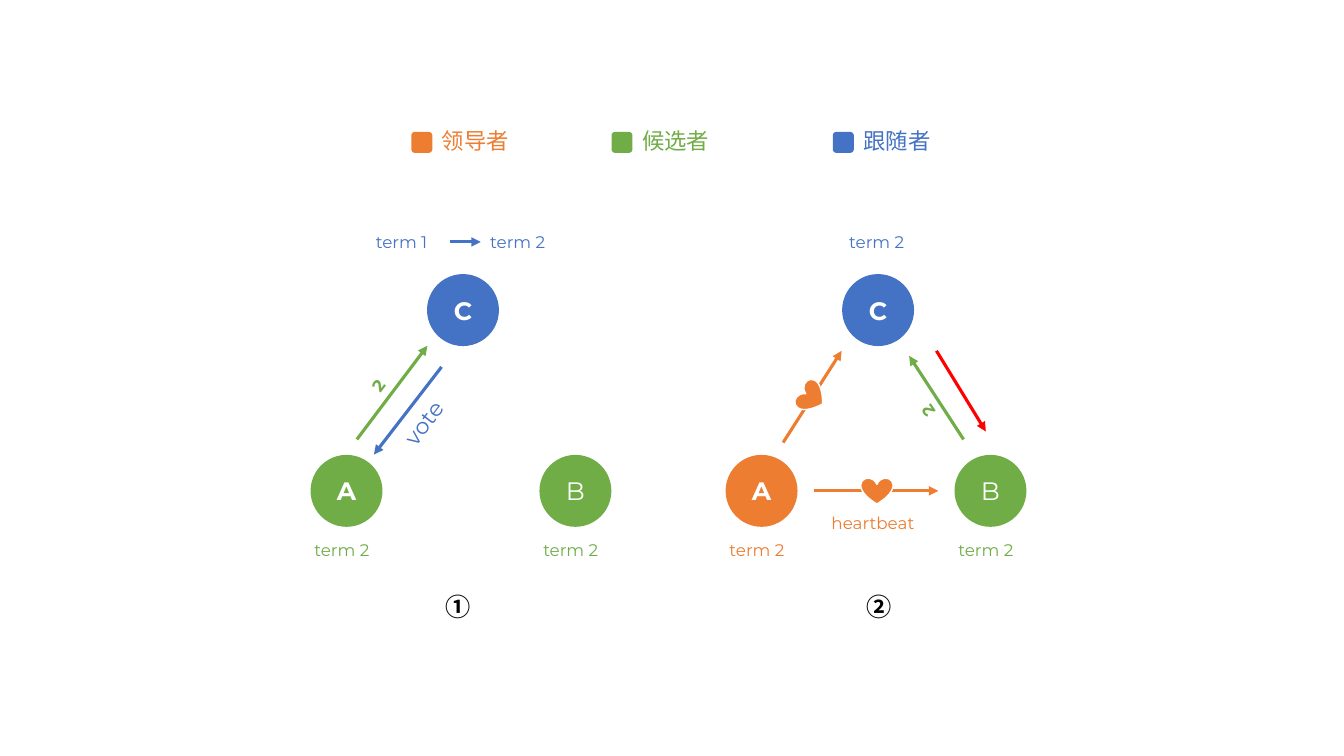
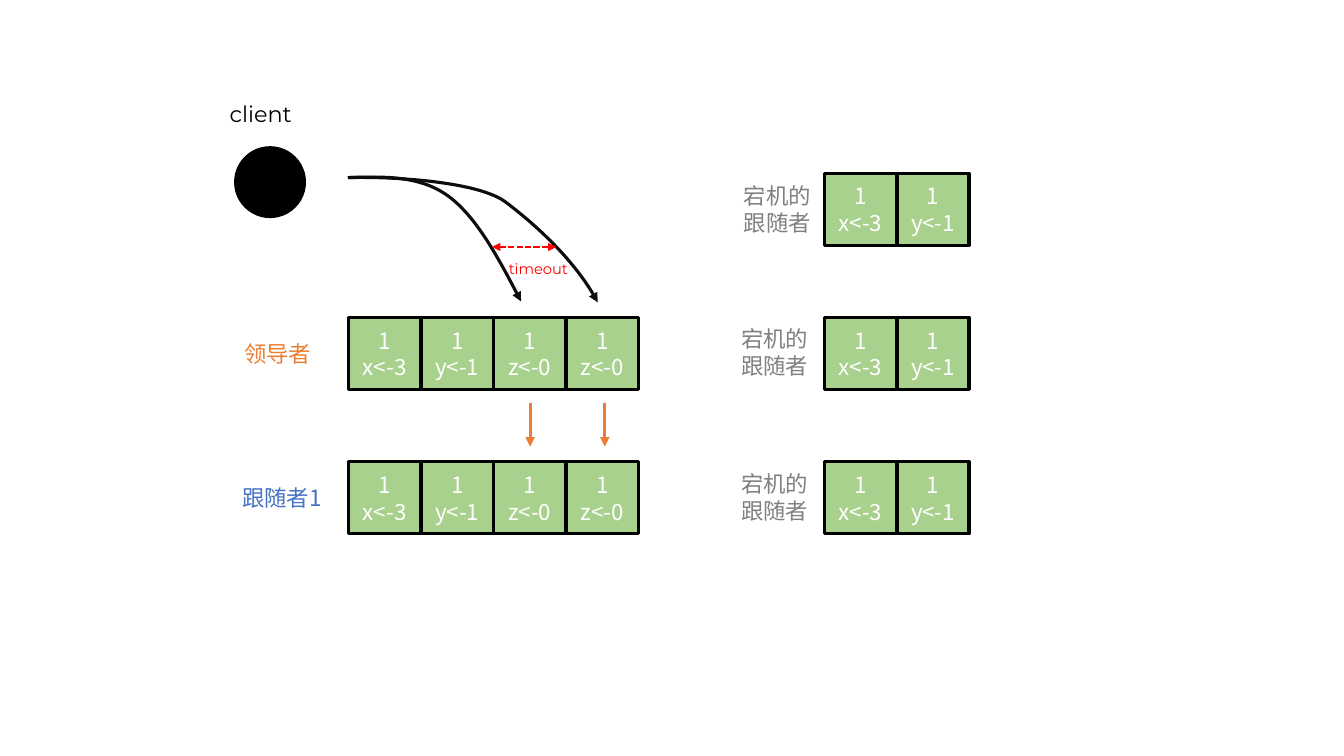
import lxml.etree
import pptx
import pptx.dml.color
import pptx.enum.dml
import pptx.enum.shapes
import pptx.enum.text
import pptx.oxml.ns
import pptx.util

Pt = pptx.util.Pt
KIND = pptx.enum.shapes.MSO_SHAPE
ALIGN = pptx.enum.text.PP_ALIGN
HUES = {
    "orange": "ED7D31", "green": "70AD47", "blue": "4472C4", "red": "FF0000",
    "black": "000000", "ink": "0D0D0D", "white": "FFFFFF", "gray": "808080",
    "cell": "A9D18E",
}
LATIN = "Montserrat"
HAN = "Noto Sans CJK SC"
SIZE = 51.4  # side of a node or a log cell


def tint(name):
    """Return the named colour."""
    return pptx.dml.color.RGBColor.from_string(HUES[name])


def add(parent, tag, **attrs):
    """Append a DrawingML child element."""
    lxml.etree.SubElement(parent, pptx.oxml.ns.qn(tag), **attrs)


def curve(start, ctrl1, ctrl2, end, steps=24):
    """Return points along a cubic curve, without its start."""
    points = []
    for step in range(1, steps + 1):
        t = step / steps
        u = 1 - t
        parts = (u ** 3, 3 * u * u * t, 3 * u * t * t, t ** 3)
        knots = (start, ctrl1, ctrl2, end)
        points.append(tuple(sum(w * k[axis] for w, k in zip(parts, knots))
                            for axis in (0, 1)))
    return points


class Deck:
    """Draws styled elements on the current slide."""

    def __init__(self):
        """Open a wide deck."""
        self.file = pptx.Presentation()
        self.file.slide_width = Pt(960)
        self.file.slide_height = Pt(540)

    def page(self):
        """Start a blank slide."""
        self.shapes = self.file.slides.add_slide(self.file.slide_layouts[6]).shapes

    def fill(self, frame, text, hue, size, font, bold=False, align=None):
        """Fill a text frame and format its runs."""
        frame.text = text
        frame.word_wrap = True
        for para in frame.paragraphs:
            para.alignment = align
            for run in para.runs:
                run.font.size = Pt(size)
                run.font.bold = bold
                run.font.color.rgb = tint(hue)
                run.font.name = font
                add(run._r.get_or_add_rPr(), "a:ea", typeface=font)

    def label(self, text, left, top, wide, high, hue, size=12, font=LATIN,
              bold=False, turn=0, align=ALIGN.LEFT):
        """Add a text box."""
        box = self.shapes.add_textbox(Pt(left), Pt(top), Pt(wide), Pt(high))
        self.fill(box.text_frame, text, hue, size, font, bold, align)
        box.text_frame.auto_size = pptx.enum.text.MSO_AUTO_SIZE.SHAPE_TO_FIT_TEXT
        box.rotation = turn

    def shape(self, kind, left, top, wide, high, hue, edge=None, width=1, turn=0):
        """Add a filled preset shape."""
        item = self.shapes.add_shape(kind, Pt(left), Pt(top), Pt(wide), Pt(high))
        item.shadow.inherit = False
        item.fill.solid()
        item.fill.fore_color.rgb = tint(hue)
        if edge:
            item.line.color.rgb = tint(edge)
            item.line.width = Pt(width)
        else:
            item.line.fill.background()
        item.rotation = turn
        return item

    def node(self, name, left, top, hue, bold=True):
        """Add a round server node."""
        item = self.shape(KIND.OVAL, left, top, SIZE, SIZE, hue)
        self.fill(item.text_frame, name, "white", 18, LATIN, bold, ALIGN.CENTER)

    def term(self, text, left, top, hue):
        """Add a term caption."""
        self.label(text, left, top, 59.8, 21.8, hue)

    def heart(self, left, top, turn=0):
        """Add a heartbeat mark."""
        self.shape(KIND.HEART, left, top, 23, 18.7, "orange", "white", turn=turn)

    def log(self, left, top, steps):
        """Add a row of log cells."""
        for col, step in enumerate(steps):
            item = self.shape(KIND.RECTANGLE, left + 51.8 * col, top, SIZE, SIZE,
                              "cell", "black", 2.25)
            self.fill(item.text_frame, "1\n" + step, "white", 16, HAN,
                      align=ALIGN.CENTER)

    def tip(self, item, hue, width=2.25, both=False):
        """Style a line and give it arrowheads."""
        item.line.color.rgb = tint(hue)
        item.line.width = Pt(width)
        if both:
            item.line.dash_style = pptx.enum.dml.MSO_LINE.SQUARE_DOT
        props = item.element.spPr
        line = props.find(pptx.oxml.ns.qn("a:ln"))
        if both:
            add(line, "a:headEnd", type="triangle")
        add(line, "a:tailEnd", type="triangle")
        add(props, "a:effectLst")

    def arrow(self, start, end, hue, width=2.25, both=False):
        """Add a straight arrow."""
        ends = [Pt(value) for value in (*start, *end)]
        kind = pptx.enum.shapes.MSO_CONNECTOR.STRAIGHT
        self.tip(self.shapes.add_connector(kind, *ends), hue, width, both)

    def bend(self, start, *parts):
        """Add a curved arrow made of cubic parts."""
        pen = self.shapes.build_freeform(Pt(start[0]), Pt(start[1]))
        last = start
        for part in parts:
            pen.add_line_segments([(Pt(x), Pt(y)) for x, y in curve(last, *part)],
                                  close=False)
            last = part[-1]
        item = pen.convert_to_shape()
        item.fill.background()
        self.tip(item, "ink")


def vote(deck):
    """Draw the election slide."""
    deck.page()
    for text, left, hue in (("领导者", 293.8, "orange"), ("候选者", 436.8, "green"),
                            ("跟随者", 594.9, "blue")):
        deck.shape(KIND.ROUNDED_RECTANGLE, left, 94.2, 15, 15, hue)
        deck.label(text, left + 14.8, 87.1, 72, 26.6, hue, 16, HAN)

    for left, hue in ((221.8, "green"), (518.3, "orange")):
        deck.node("A", left, 324.9, hue)
        deck.node("B", left + 163.5, 324.9, "green", False)
        deck.node("C", left + 83.2, 195.8, "blue")
        deck.term("term 2", left - 4.3, 381.7, hue)
        deck.term("term 2", left + 159.2, 381.7, "green")

    for text, left in (("term 1", 261.4), ("term 2", 343.1), ("term 2", 599.5)):
        deck.term(text, left, 161.9, "blue")
    for text, left in (("①", 311), ("②", 612.2)):
        deck.label(text, left, 419, 35.3, 29.1, "black", 18, HAN, True)

    for start, end, hue in (
            ((254.9, 313.9), (305.3, 247), "green"),
            ((321.1, 172.8), (343.4, 172.8), "blue"),
            ((315.4, 262.1), (267.1, 324.7), "blue"),
            ((688.3, 313.9), (649.4, 254.2), "green"),
            ((668.9, 250.6), (704.2, 308.2), "red"),
            ((581.8, 350.6), (670.3, 350.6), "orange"),
            ((559.4, 316.1), (601.2, 250.6), "orange")):
        deck.arrow(start, end, hue)
    deck.heart(614.9, 341.3)
    deck.heart(568.1, 274.3, 301.4)
    deck.label("heartbeat", 586.8, 362.9, 79.9, 21.8, "orange")
    deck.label("vote", 276.5, 285.1, 57.6, 26.6, "blue", 16, turn=307.2)
    for left, top, turn in ((259.2, 264.2, 307.6), (650.9, 282.2, 236)):
        deck.label("2", left, top, 23, 21.8, "green", bold=True, turn=turn)


def logs(deck):
    """Draw the log replication slide."""
    deck.page()
    steps = ("x<-3", "y<-1", "z<-0", "z<-0")
    tops = [123.8 + 103 * row for row in range(3)]
    for top in tops[1:]:
        deck.log(249.1, top, steps)
    for top in tops:
        deck.log(589, top, steps[:2])

    for left, top in ((524.2, 126.7), (522.4, 228.5), (522.4, 332.6)):
        deck.label("宕机的跟随者", left, top, 72.7, 46, "gray", 16, HAN)
    deck.label("领导者", 167.4, 239.4, 72, 26.6, "orange", 16, HAN)
    deck.label("跟随者1", 166, 342.3, 72.7, 26.6, "blue", 16, HAN)

    deck.shape(KIND.OVAL, 167.2, 104.4, SIZE, SIZE, "black")
    deck.label("client", 157, 67.7, 72, 26.6, "black", 16)
    deck.bend((248.4, 126.9), ((273.6, 126), (299.5, 125.3), (319.7, 139.7)),
              ((340.6, 154.8), (356.4, 185), (372.2, 215.3)))
    deck.bend((249.1, 126.9), ((275, 126), (339.8, 128.9), (360.7, 144)),
              ((380.9, 159.1), (411.1, 185.8), (427, 216)))
    deck.arrow((351.4, 176.4), (397.4, 176.4), "red", 1.5, True)
    deck.label("timeout", 340.6, 182.2, 87.8, 20.9, "red", 10.5, align=ALIGN.CENTER)
    for left in (378.7, 432):
        deck.arrow((left, 288), (left, 319), "orange")


deck = Deck()
vote(deck)
logs(deck)
deck.file.save("out.pptx")
